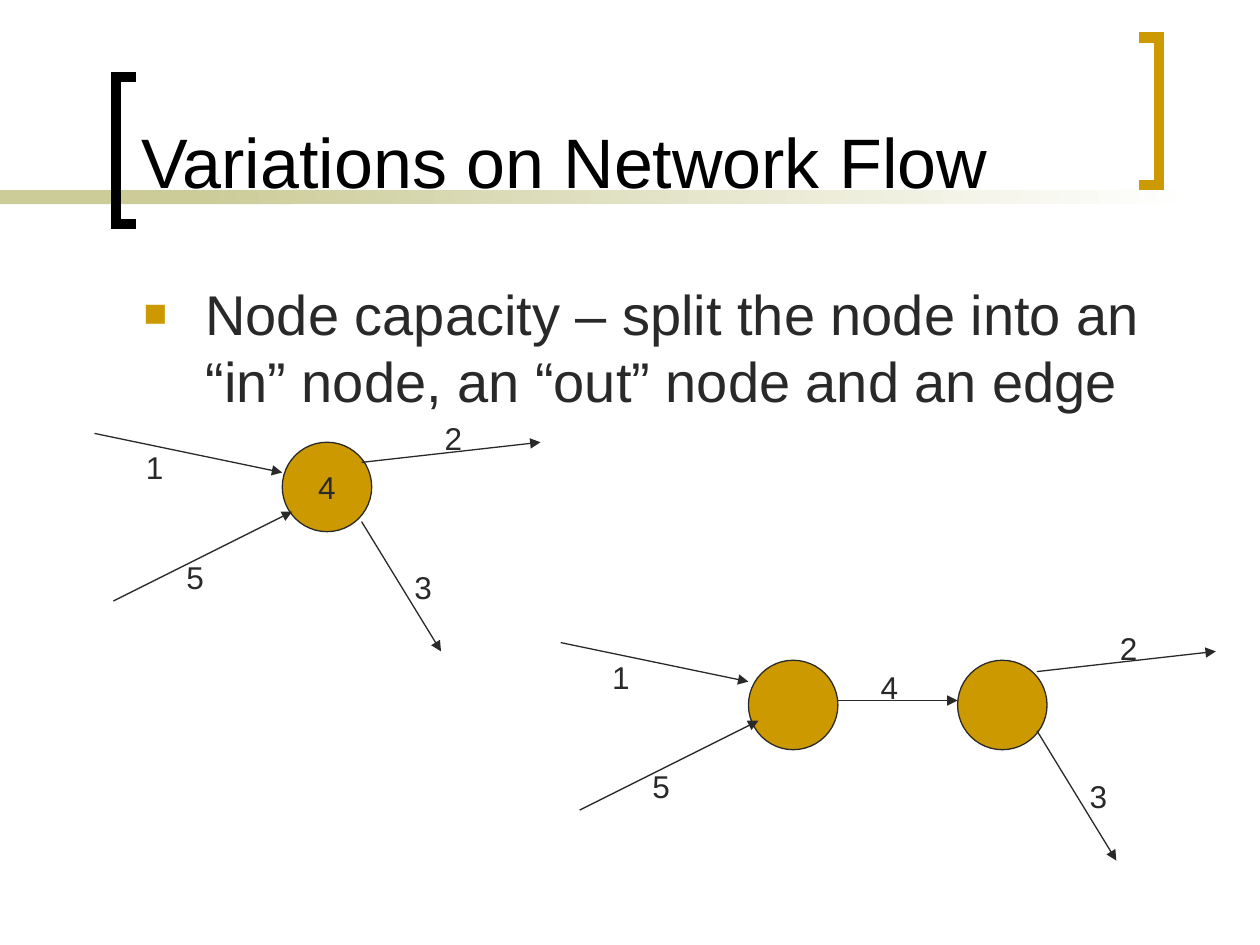
from lxml.etree import SubElement
from pptx import Presentation
from pptx.dml.color import RGBColor
from pptx.enum.shapes import MSO_CONNECTOR, MSO_SHAPE
from pptx.enum.text import MSO_ANCHOR, MSO_AUTO_SIZE, PP_ALIGN
from pptx.oxml.ns import qn
from pptx.util import Inches, Pt

# Content
TITLE = "Variations on Network Flow"
BULLET = "Node capacity – split the node into an “in” node, an “out” node and an edge"
COLORS = {"ink": "292929", "gold": "CC9900", "band": "CCCC99",
          "black": "000000", "white": "FFFFFF"}
FONT = "Arial"
NODE = 0.71

# Edges: capacity, start, end, label corner, all measured from a node's origin
IN_EDGES = [
    ("1", (-1.49, -0.07), (0, 0.24), (-1.18, 0)),
    ("5", (-1.34, 1.26), (0.08, 0.55), (-0.86, 0.87)),
]
OUT_EDGES = [
    ("3", (0.63, 0.63), (1.26, 1.66), (0.95, 0.95)),
    ("2", (0.63, 0.16), (2.05, 0), (1.19, -0.23)),
]
SPLIT_EDGE = [("4", (NODE, 0.39), (1.66, 0.39), (0.95, 0.08))]

# Nodes: origin, circle's drop below the origin, text, edges
NODES = [
    ((2.24, 3.51), 0, "4", IN_EDGES + OUT_EDGES),
    ((5.94, 5.17), 0.07, "", IN_EDGES + SPLIT_EDGE),
    ((7.6, 5.17), 0.07, "", OUT_EDGES),
]
# Brackets: outer x, tip x, top, colour
BRACKETS = [(0.92, 1.08, 0.61, "black"), (9.2, 9.04, 0.3, "gold")]
BRACKET_HEIGHT = 1.17

prs = Presentation()
prs.slide_width, prs.slide_height = Inches(10), Inches(7.5)
slide = prs.slides.add_slide(prs.slide_layouts[1])
shapes = slide.shapes


def color(name):
    return RGBColor.from_string(COLORS[name])


def write(s, text, size, name="ink", align=PP_ALIGN.LEFT, anchor=MSO_ANCHOR.TOP, wrap=True):
    tf = s.text_frame
    tf.text = text
    tf.auto_size = MSO_AUTO_SIZE.NONE
    tf.word_wrap = wrap
    tf.vertical_anchor = anchor
    p = tf.paragraphs[0]
    p.alignment = align
    p.space_before = Pt(0)
    font = p.runs[0].font
    font.name, font.size, font.color.rgb = FONT, Pt(size), color(name)
    return p


def place(s, *box):
    s.left, s.top, s.width, s.height = map(Inches, box)


def add_shape(kind, *box):
    s = shapes.add_shape(kind, *map(Inches, box))
    s.shadow.inherit = False
    return s


def add_arrow(start, end):
    s = shapes.add_connector(MSO_CONNECTOR.STRAIGHT, *map(Inches, start + end))
    s.line.color.rgb, s.line.width = color("ink"), Pt(0.75)
    SubElement(s.line._get_or_add_ln(), qn("a:tailEnd"), type="triangle")
    SubElement(s._element.spPr, qn("a:effectLst"))


def add_bracket(outer, tip, top, name):
    bottom = top + BRACKET_HEIGHT
    builder = shapes.build_freeform(Inches(tip), Inches(top))
    corners = [(outer, top), (outer, bottom), (tip, bottom)]
    builder.add_line_segments([(Inches(x), Inches(y)) for x, y in corners], close=False)
    s = builder.convert_to_shape()
    s.shadow.inherit = False
    s.fill.background()
    s.line.color.rgb, s.line.width = color(name), Pt(6)
    SubElement(s.line._get_or_add_ln(), qn("a:miter"), lim="800000")


# Band that fades out to the right
solid = add_shape(MSO_SHAPE.RECTANGLE, 0, 1.51, 2.33, 0.11)
solid.fill.solid()
solid.fill.fore_color.rgb = color("band")
fade = add_shape(MSO_SHAPE.RECTANGLE, 1.58, 1.51, 7.92, 0.11)
fade.fill.gradient()
fade.fill.gradient_angle = 0
for stop, position, name in zip(fade.fill.gradient_stops, (0, 1), ("band", "white")):
    stop.position, stop.color.rgb = position, color(name)
for s in (solid, fade):
    s.line.fill.background()

for bracket in BRACKETS:
    add_bracket(*bracket)

# Title and body, in front of the band
title, body = shapes.title, slide.placeholders[1]
for s in (title, body):
    shapes._spTree.append(s._element)
place(title, 1.02, 0.11, 7.83, 1.55)
write(title, TITLE, 40, "black", anchor=MSO_ANCHOR.BOTTOM)
place(body, 1.04, 2.17, 8.38, 4.5)
p = write(body, BULLET, 32)
pPr = p._p.get_or_add_pPr()
pPr.set("marL", str(Inches(0.49)))
pPr.set("indent", str(-Inches(0.49)))
SubElement(SubElement(pPr, qn("a:buClr")), qn("a:srgbClr"), val=COLORS["gold"])
SubElement(pPr, qn("a:buSzPct"), val="70000")
SubElement(pPr, qn("a:buFont"), typeface=FONT)
SubElement(pPr, qn("a:buChar"), char="■")

# Flow networks: one node, then the same node split in two
for (x, y), drop, text, edges in NODES:
    circle = add_shape(MSO_SHAPE.OVAL, x, y + drop, NODE, NODE)
    circle.fill.solid()
    circle.fill.fore_color.rgb = color("gold")
    circle.line.color.rgb, circle.line.width = color("ink"), Pt(0.75)
    if text:
        write(circle, text, 18, align=PP_ALIGN.CENTER, anchor=MSO_ANCHOR.MIDDLE, wrap=False)
    for capacity, start, end, corner in edges:
        start, end, corner = [(x + dx, y + dy) for dx, dy in (start, end, corner)]
        add_arrow(start, end)
        label = shapes.add_textbox(*map(Inches, corner + (0.39, 0.4)))
        write(label, capacity, 18)

prs.save("out.pptx")
